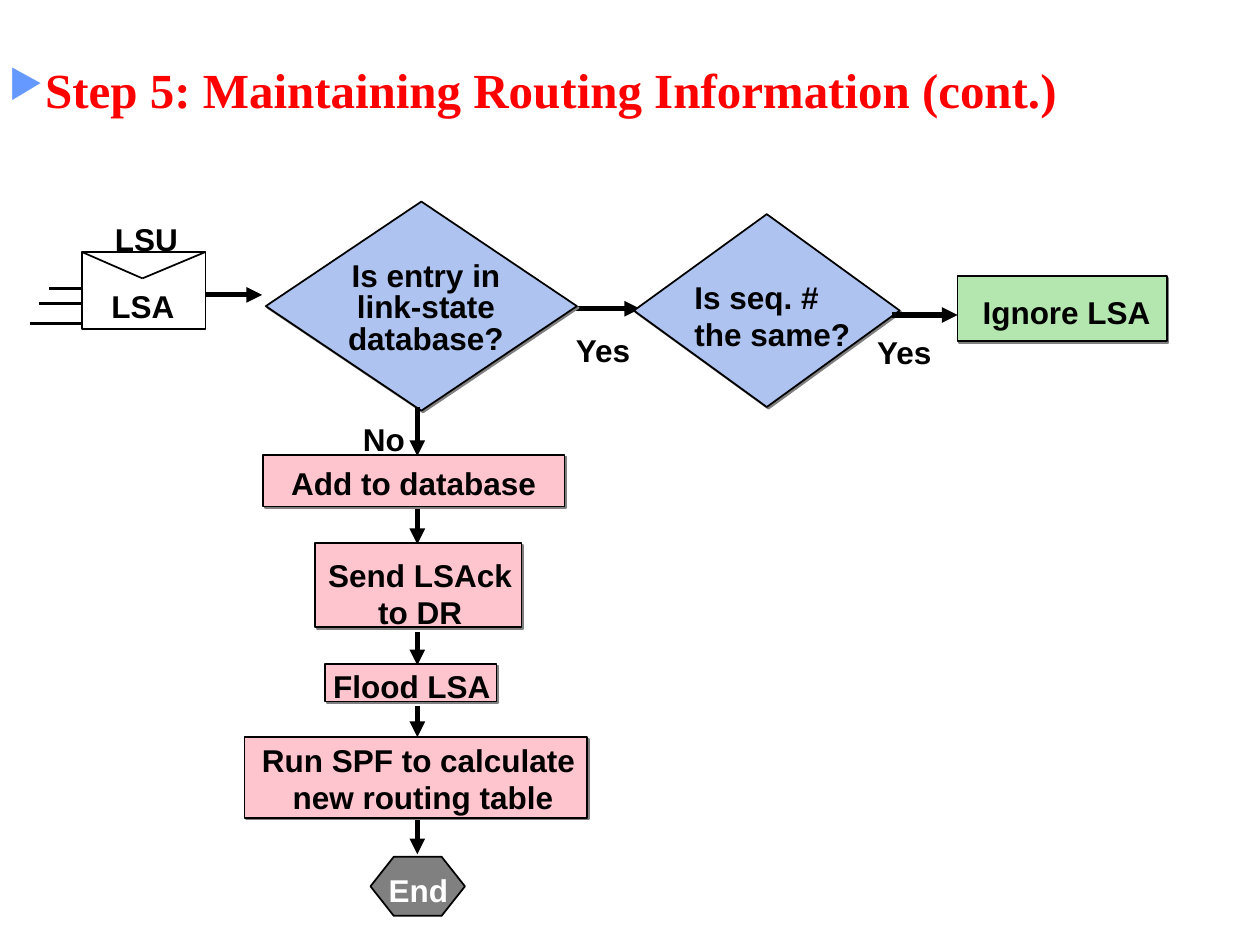
from dataclasses import dataclass

import lxml.etree
import pptx
import pptx.dml.color
import pptx.enum.shapes
import pptx.enum.text
import pptx.oxml
import pptx.oxml.ns
import pptx.util

Pt = pptx.util.Pt
qn = pptx.oxml.ns.qn
SHAPE = pptx.enum.shapes.MSO_SHAPE
ALIGN = pptx.enum.text.PP_ALIGN

COLORS = {
    "title": "FF0000", "bullet": "6699FF", "ink": "000000", "white": "FFFFFF",
    "decision": "AFC3F0", "ignore": "B4E6AF", "action": "FFC5CF",
    "end": "808080", "shadow": "808080",
}
FLOW_X = 238.5  # centre line of the downward flow


@dataclass
class Node:
    left: float
    top: float
    width: float
    height: float
    color: str
    preset: int = SHAPE.RECTANGLE
    shadow: bool = True


@dataclass
class Label:
    """Text where \\n starts a paragraph and \\v breaks a line."""
    text: str
    left: float
    top: float
    width: float
    height: float = 32.4
    centered: bool = False
    color: str = "ink"
    leading: float = 21.4
    space_after: float = 0


@dataclass
class Line:
    x1: float
    y1: float
    x2: float
    y2: float
    weight: float = 3
    arrow: bool = True


def rgb(name: str) -> pptx.dml.color.RGBColor:
    return pptx.dml.color.RGBColor.from_string(COLORS[name])


def draw_node(slide, node: Node):
    shape = slide.shapes.add_shape(
        node.preset, Pt(node.left), Pt(node.top), Pt(node.width), Pt(node.height))
    shape.fill.solid()
    shape.fill.fore_color.rgb = rgb(node.color)
    shape.line.color.rgb = rgb("ink")
    shape.line.width = Pt(1)
    shape.shadow.inherit = False
    if node.shadow:
        effects = shape._element.spPr.find(qn("a:effectLst"))
        outer = lxml.etree.SubElement(
            effects, qn("a:outerShdw"), dist=str(Pt(1.4)), dir="2700000",
            algn="ctr", rotWithShape="0")
        lxml.etree.SubElement(outer, qn("a:srgbClr"), val=COLORS["shadow"])
    return shape


def draw_line(slide, line: Line) -> None:
    connector = slide.shapes.add_connector(
        pptx.enum.shapes.MSO_CONNECTOR.STRAIGHT,
        Pt(line.x1), Pt(line.y1), Pt(line.x2), Pt(line.y2))
    connector.line.color.rgb = rgb("ink")
    connector.line.width = Pt(line.weight)
    if line.arrow:
        lxml.etree.SubElement(
            connector.line._get_or_add_ln(), qn("a:tailEnd"), type="triangle")
    lxml.etree.SubElement(connector._element.spPr, qn("a:effectLst"))


def add_run(paragraph, text: str, font: str, size: float, color: str) -> None:
    run = paragraph.add_run()
    run.text = text
    run.font.name = font
    run.font.size = Pt(size)
    run.font.bold = True
    run.font.color.rgb = rgb(color)


def draw_label(slide, label: Label) -> None:
    frame = slide.shapes.add_textbox(
        Pt(label.left), Pt(label.top), Pt(label.width), Pt(label.height)).text_frame
    frame.word_wrap = False
    frame.margin_left = frame.margin_right = Pt(1.5)
    frame.margin_top = frame.margin_bottom = Pt(2.2)
    for index, content in enumerate(label.text.split("\n")):
        paragraph = frame.add_paragraph() if index else frame.paragraphs[0]
        paragraph.alignment = ALIGN.CENTER if label.centered else ALIGN.LEFT
        paragraph.line_spacing = Pt(label.leading)
        paragraph.space_after = Pt(label.space_after)
        for row, words in enumerate(content.split("\v")):
            if row:
                paragraph.add_line_break()
            add_run(paragraph, words, "Arial", 18, label.color)


def draw_title(slide, text: str) -> None:
    title = slide.shapes.title
    title.left, title.top, title.width, title.height = Pt(0), Pt(23.8), Pt(720), Pt(54)
    frame = title.text_frame
    frame.auto_size = pptx.enum.text.MSO_AUTO_SIZE.NONE
    frame.vertical_anchor = pptx.enum.text.MSO_ANCHOR.MIDDLE
    frame.margin_left = Pt(5)
    paragraph = frame.paragraphs[0]
    properties = paragraph._p.get_or_add_pPr()
    bullet_color = lxml.etree.SubElement(properties, qn("a:buClr"))
    lxml.etree.SubElement(bullet_color, qn("a:srgbClr"), val=COLORS["bullet"])
    lxml.etree.SubElement(properties, qn("a:buSzPct"), val="80000")
    lxml.etree.SubElement(properties, qn("a:buChar"), char="▶")
    paragraph.alignment = ALIGN.LEFT
    add_run(paragraph, text, "Times New Roman", 28, "title")


def down(y1: float, y2: float) -> Line:
    return Line(FLOW_X, y1, FLOW_X, y2)


LINES_BEHIND = [
    Line(111.6, 168.5, 149.8, 168.5),
    Line(327.6, 176.4, 365.8, 176.4),
    down(288.7, 311), down(361.4, 380.2), down(403.2, 421.2), down(468.7, 488.2),
    # Speed lines of the envelope
    Line(46.1, 185, 17.3, 185, 2, False),
    Line(51.8, 173.5, 22.3, 173.5, 2, False),
    Line(57.6, 164.9, 28.1, 164.9, 2, False),
]
NODES = [
    Node(362.2, 122.4, 151.9, 110.2, "decision", SHAPE.DIAMOND),
    Node(151.9, 115.2, 177.8, 119.5, "decision", SHAPE.DIAMOND),
    Node(547.2, 157.7, 119.5, 37.4, "ignore"),
    Node(46.8, 144, 70.6, 43.9, "white", shadow=False),
    Node(150.5, 259.9, 172.1, 29.5, "action"),
    Node(180, 310.3, 118.1, 48.2, "action"),
    Node(185.8, 379.4, 97.9, 21.6, "action"),
    Node(139.7, 421.2, 195.8, 46.1, "action"),
]
END_NODE = Node(211.7, 489.6, 54, 33.8, "end", SHAPE.HEXAGON, False)
LINES_FRONT = [
    Line(509.8, 180, 547.2, 180),
    down(232.6, 260.6),
    # Envelope flap
    Line(46.8, 144, 81.4, 159.1, 1, False),
    Line(117.4, 144, 81.4, 159.1, 1, False),
]
LABELS = [
    Label("LSU", 64.2, 123.5, 48),
    Label("LSA", 62.2, 162, 46),
    Label("Is entry in\vlink-state\vdatabase?", 168.5, 147.6, 149.8, 74.2, True,
          leading=18, space_after=9),
    Label("Yes", 327.6, 187.2, 43.9),
    Label("Is seq. #\vthe same?", 395.3, 156.7, 101.5, 36),
    Label("Yes", 499.7, 188.2, 43.9),
    Label("Ignore LSA", 556.6, 165.2, 105.8, centered=True),
    Label("No", 205.9, 237.9, 37.4),
    Label("Add to database", 164.9, 263.1, 152.6),
    Label("Send LSAck\nto DR", 180, 315.7, 120.2, 48, True),
    Label("Flood LSA", 188.9, 379, 103.7),
    Label("Run SPF to calculate \nnew routing table", 138, 421.2, 207.4, 48, True),
    Label("End", 220.6, 495.7, 37.4, color="white"),
]


def main() -> None:
    deck = pptx.Presentation()
    deck.slide_width, deck.slide_height = Pt(720), Pt(540)
    slide = deck.slides.add_slide(deck.slide_layouts[5])
    draw_title(slide, "Step 5: Maintaining Routing Information (cont.)")

    # Flowchart, from back to front
    for line in LINES_BEHIND:
        draw_line(slide, line)
    for node in NODES:
        draw_node(slide, node)
    draw_node(slide, END_NODE).adjustments[0] = 0.395
    for line in LINES_FRONT:
        draw_line(slide, line)
    for label in LABELS:
        draw_label(slide, label)
    deck.save("out.pptx")


if __name__ == "__main__":
    main()
